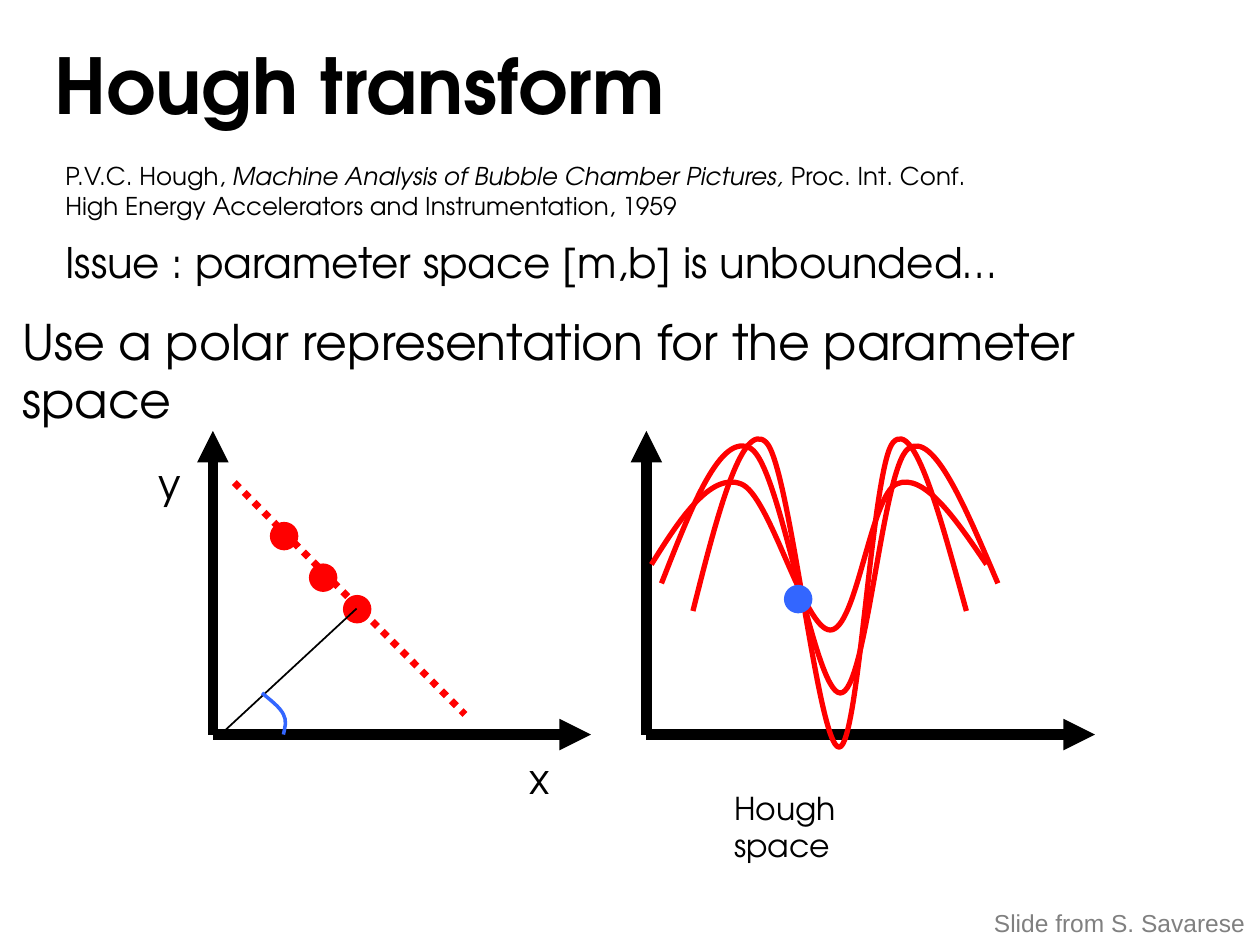
"""Build the Hough transform slide with its image space and parameter space plots."""
import pptx
import pptx.util
import pptx.dml.color
import pptx.enum.dml
import pptx.enum.shapes
import pptx.enum.text
import pptx.oxml.ns
import pptx.oxml.xmlchemy

Inches, Pt = pptx.util.Inches, pptx.util.Pt
ANCHOR, ALIGN = pptx.enum.text.MSO_ANCHOR, pptx.enum.text.PP_ALIGN
COLORS = {"ink": "000000", "red": "FF0000", "blue": "3366FF", "grey": "808080"}
BODY = "TeX Gyre Adventor"

TITLE = {"runs": ["Hough transform"], "at": (0.33, 0.25, 5.83, 0.83), "size": 44, "bold": True}
TEXTS = [
    {"runs": ["P.V.C. Hough, ", "Machine Analysis of Bubble Chamber Pictures,",
              " Proc. Int. Conf. High Energy Accelerators and Instrumentation, 1959"],
     "at": (0.42, 1.23, 7.8, 0.57), "size": 14, "italic_run": 1, "anchor": ANCHOR.MIDDLE},
    {"runs": ["Issue : parameter space [m,b] is unbounded…"],
     "at": (0.42, 1.83, 8.42, 0.5), "size": 24},
    {"runs": ["Use a polar representation for the parameter space"],
     "at": (0.08, 2.42, 9.67, 0.57), "size": 28},
    {"runs": ["x"], "at": (4.11, 5.92, 0.35, 0.5), "size": 24, "align": ALIGN.CENTER, "wrap": False},
    {"runs": ["y"], "at": (1.17, 3.58, 0.36, 0.5), "size": 24, "align": ALIGN.CENTER, "wrap": False},
    {"runs": ["Hough space"], "at": (5.73, 6.21, 1.7, 0.4), "size": 18},
    {"runs": ["Slide from S. Savarese"], "at": (7.79, 7.16, 2.21, 0.34), "size": 14,
     "font": "Arial", "color": "grey", "wrap": False},
]

AXIS_BASE, AXIS_TOP = 5.83, 3.42
AXES = [(1.69, 4.69), (5.13, 8.69)]
FITTED_LINE = (1.86, 3.83, 3.69, 5.67)
RADIUS = (1.75, 5.83, 2.83, 4.83)
DOT = 0.17
IMAGE_POINTS = [(2.75, 4.75), (2.17, 4.17), (2.48, 4.5)]
PEAK = (6.25, 4.67)
ANGLE = [(2.08, 5.5), (2.15, 5.56), (2.22, 5.61), (2.25, 5.67),
         (2.28, 5.72), (2.26, 5.78), (2.25, 5.83)]
SINUSOIDS = [
    [(5.5, 4.85), (5.69, 4.09), (5.89, 3.33), (6.08, 3.51), (6.27, 3.69), (6.49, 5.93), (6.66, 5.93),
     (6.82, 5.93), (6.92, 3.69), (7.09, 3.51), (7.26, 3.33), (7.46, 4.09), (7.67, 4.85)],
    [(5.25, 4.63), (5.49, 4.02), (5.72, 3.42), (5.96, 3.56), (6.2, 3.71), (6.46, 5.5), (6.67, 5.5),
     (6.88, 5.5), (7, 3.71), (7.21, 3.56), (7.41, 3.42), (7.66, 4.02), (7.92, 4.63)],
    [(5.17, 4.48), (5.4, 4.11), (5.64, 3.75), (5.88, 3.84), (6.11, 3.92), (6.38, 5), (6.59, 5),
     (6.8, 5), (6.91, 3.92), (7.12, 3.84), (7.33, 3.75), (7.58, 4.11), (7.83, 4.48)],
]


def rgb(color):
    return pptx.dml.color.RGBColor.from_string(COLORS[color])


def new_element(tag):
    return pptx.oxml.xmlchemy.OxmlElement(tag)


def set_all(target, values):
    for attribute, value in values.items():
        setattr(target, attribute, value)


def write(box, text):
    set_all(box, dict(zip(("left", "top", "width", "height"), map(Inches, text["at"]))))
    frame = box.text_frame
    set_all(frame, {
        "word_wrap": text.get("wrap", True),
        "auto_size": pptx.enum.text.MSO_AUTO_SIZE.NONE,
        "vertical_anchor": text.get("anchor", ANCHOR.TOP),
        "margin_left": Inches(0.1), "margin_right": Inches(0.1),
        "margin_top": Inches(0.05), "margin_bottom": Inches(0.05),
    })
    paragraph = frame.paragraphs[0]
    set_all(paragraph, {"alignment": text.get("align", ALIGN.LEFT),
                        "line_spacing": 1.0, "space_before": Pt(0)})
    for index, words in enumerate(text["runs"]):
        run = paragraph.add_run()
        run.text = words
        set_all(run.font, {"name": text.get("font", BODY), "size": Pt(text["size"]),
                           "bold": text.get("bold", False),
                           "italic": index == text.get("italic_run")})
        run.font.color.rgb = rgb(text.get("color", "ink"))


def stroke(line, color, width):
    line.color.rgb = rgb(color)
    line.width = Pt(width)


def add_line(shapes, ends, color, width, dash=None, arrow=False):
    connector = shapes.add_connector(pptx.enum.shapes.MSO_CONNECTOR.STRAIGHT, *map(Inches, ends))
    stroke(connector.line, color, width)
    connector.line.dash_style = dash
    properties = connector.element.spPr
    if arrow:
        tail = new_element("a:tailEnd")
        tail.set("type", "triangle")
        properties.find(pptx.oxml.ns.qn("a:ln")).append(tail)
    properties.append(new_element("a:effectLst"))


def add_dot(shapes, corner, color):
    dot = shapes.add_shape(pptx.enum.shapes.MSO_SHAPE.OVAL, *map(Inches, (*corner, DOT, DOT)))
    dot.shadow.inherit = False
    dot.fill.solid()
    dot.fill.fore_color.rgb = rgb(color)
    stroke(dot.line, color, 4)


def add_curve(shapes, points, color, width):
    start, *rest = [(Inches(x), Inches(y)) for x, y in points]
    builder = shapes.build_freeform(*start)
    builder.add_line_segments(rest, close=False)
    curve = builder.convert_to_shape()
    curve.shadow.inherit = False
    curve.fill.background()
    stroke(curve.line, color, width)
    segments = list(curve.element.iter(pptx.oxml.ns.qn("a:lnTo")))
    outline = segments[0].getparent()
    for first in range(0, len(segments), 3):
        bezier = new_element("a:cubicBezTo")
        for segment in segments[first:first + 3]:
            bezier.append(segment[0])
            outline.remove(segment)
        outline.append(bezier)


def main():
    deck = pptx.Presentation()
    set_all(deck, {"slide_width": Inches(10), "slide_height": Inches(7.5)})
    slide = deck.slides.add_slide(deck.slide_layouts[5])
    shapes = slide.shapes
    write(shapes.title, TITLE)

    add_line(shapes, FITTED_LINE, "red", 4, dash=pptx.enum.dml.MSO_LINE.ROUND_DOT)
    for left, right in AXES:
        for tip in ((left, AXIS_TOP), (right, AXIS_BASE)):
            add_line(shapes, (left, AXIS_BASE, *tip), "ink", 6, arrow=True)
    for point in IMAGE_POINTS:
        add_dot(shapes, point, "red")
    add_line(shapes, RADIUS, "ink", 1)
    add_curve(shapes, ANGLE, "blue", 2)
    for sinusoid in SINUSOIDS:
        add_curve(shapes, sinusoid, "red", 3)
    add_dot(shapes, PEAK, "blue")

    for text in TEXTS:
        write(shapes.add_textbox(0, 0, 0, 0), text)
    deck.save("out.pptx")


if __name__ == "__main__":
    main()
